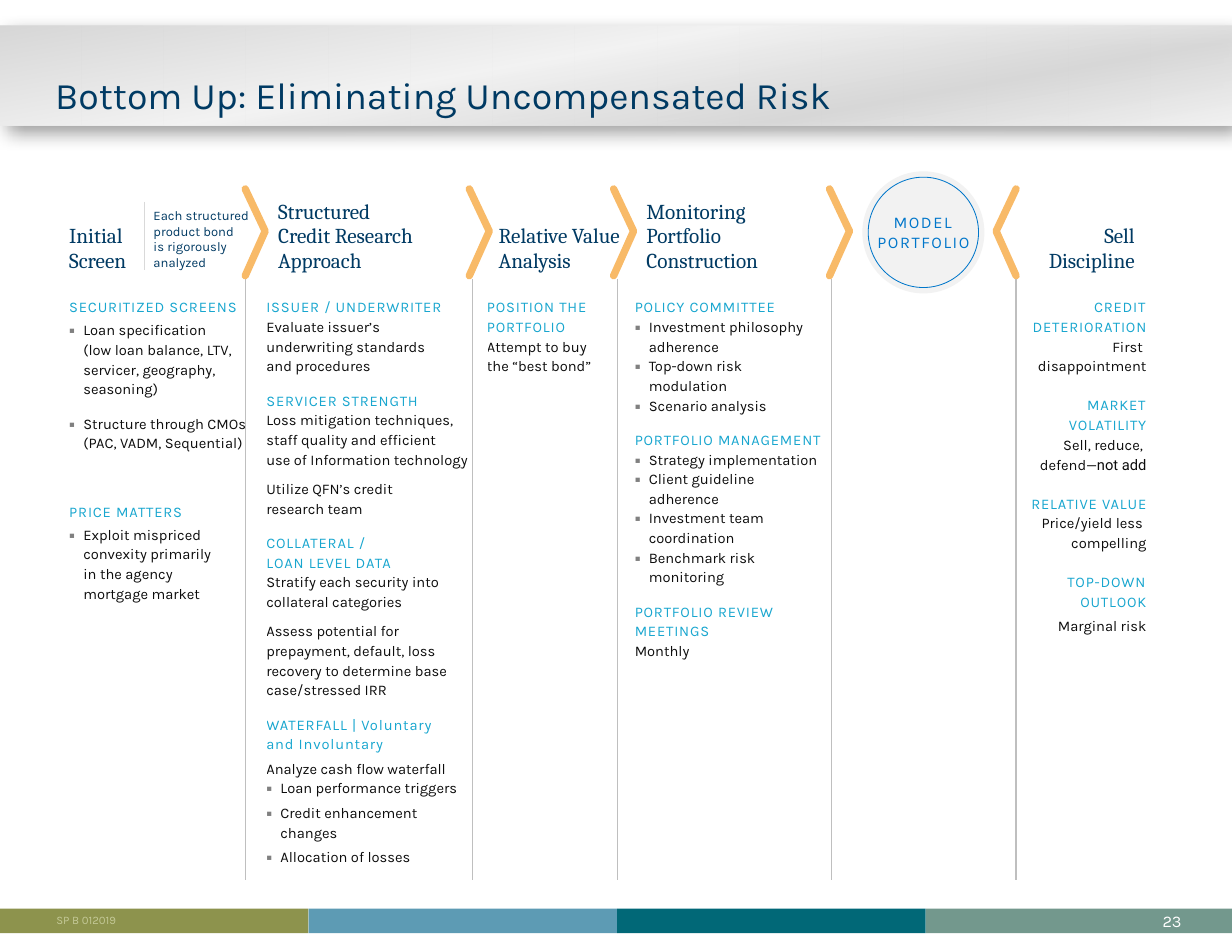
from dataclasses import dataclass

from lxml import etree
from pptx import Presentation
from pptx.dml.color import RGBColor
from pptx.enum.shapes import MSO_CONNECTOR, MSO_SHAPE
from pptx.enum.text import MSO_ANCHOR, PP_ALIGN
from pptx.oxml.ns import qn
from pptx.util import Inches, Pt

LEFT, CENTER, RIGHT = PP_ALIGN.LEFT, PP_ALIGN.CENTER, PP_ALIGN.RIGHT
TOP, MIDDLE, BOTTOM = MSO_ANCHOR.TOP, MSO_ANCHOR.MIDDLE, MSO_ANCHOR.BOTTOM
RECTANGLE, OVAL = MSO_SHAPE.RECTANGLE, MSO_SHAPE.OVAL
STRAIGHT = MSO_CONNECTOR.STRAIGHT


@dataclass(frozen=True)
class Style:
    font: str
    size: float
    color: str
    tracking: float = 0


@dataclass(frozen=True)
class Theme:
    title: Style = Style("Karla", 23, "003A63")
    stage: Style = Style("Cambria", 13, "003A63")
    aside: Style = Style("Karla", 8, "003A63")
    heading: Style = Style("Karla", 9, "18A6CF", 0.5)
    body: Style = Style("Karla", 9, "0D0D0D")
    model: Style = Style("Karla", 10, "0076CA", 1)
    page: Style = Style("Karla", 10, "FFFFFF")
    code: Style = Style("Karla", 7, "C4C997")
    emphasis_font: str = "Roboto"
    bullet: str = "808080"
    chevron: str = "F8BA68"
    divider: str = "BFBFBF"
    aside_rule: str = "D9D9D9"
    disc: str = "F2F2F2"
    ring: str = "0076CA"
    footer: tuple = ("8D934D", "5D9BB4", "016877", "73988D")
    band: tuple = ((0, "D6D6D6", 100), (41, "F2F2F2", 100), (73, "DBDBDB", 93), (100, "F2F2F2", 100))


THEME = Theme()


@dataclass(frozen=True)
class Para:
    text: str
    before: float = 0
    style: Style = THEME.body
    bullet: bool = False
    emphasis: str = ""
    spacing: float = 1.14


@dataclass(frozen=True)
class Stage:
    width: float
    title: str = ""
    details: tuple = ()
    align: PP_ALIGN = LEFT
    title_insets: tuple = (0.1, 0.05, 0.1, 0.05)
    insets: tuple = (0, 0.15, 0.1, 0.05)


def heading(text: str, before: float = 9) -> Para:
    return Para(text, before, THEME.heading)


def bullet(text: str, before: float = 0) -> Para:
    return Para(text, before, bullet=True)


STAGES = (
    Stage(1.78, "Initial\nScreen", (
        heading("SECURITIZED SCREENS", 0),
        bullet("Loan specification \n(low loan balance, LTV, \nservicer, geography, \nseasoning)", 2),
        bullet("Structure through CMOs (PAC, VADM, Sequential)", 9),
        heading("PRICE MATTERS", 30),
        bullet("Exploit mispriced \nconvexity primarily \nin the agency \nmortgage market", 2),
    ), title_insets=(0.1, 0.05, 0.15, 0.05), insets=(0.1, 0.15, 0.15, 0.05)),
    Stage(1.88, "Structured \nCredit Research Approach", (
        heading("ISSUER / UNDERWRITER", 0),
        Para("Evaluate issuer’s \nunderwriting standards \nand procedures"),
        heading("SERVICER STRENGTH"),
        Para("Loss mitigation techniques, \nstaff quality and efficient \nuse of Information technology"),
        Para("Utilize QFN’s credit \nresearch team", 6),
        heading("COLLATERAL / \nLOAN LEVEL DATA"),
        Para("Stratify each security into \ncollateral categories"),
        Para("Assess potential for \nprepayment, default, loss recovery to determine base case/stressed IRR", 6),
        heading("WATERFALL | Voluntary \nand Involuntary"),
        Para("Analyze cash flow waterfall", 3),
        bullet("Loan performance triggers"),
        bullet("Credit enhancement\nchanges", 3),
        bullet("Allocation of losses", 3),
    )),
    Stage(1.26, "Relative Value Analysis", (
        heading("POSITION THE PORTFOLIO", 0),
        Para("Attempt to buy \nthe “best bond”"),
    )),
    Stage(1.7, "Monitoring\nPortfolio\nConstruction", (
        heading("POLICY COMMITTEE", 0),
        bullet("Investment philosophy adherence"),
        bullet("Top-down risk modulation"),
        bullet("Scenario analysis"),
        heading("PORTFOLIO MANAGEMENT"),
        bullet("Strategy implementation"),
        bullet("Client guideline adherence"),
        bullet("Investment team coordination"),
        bullet("Benchmark risk monitoring"),
        heading("PORTFOLIO REVIEW MEETINGS"),
        Para("Monthly"),
    )),
    Stage(1.56),
    Stage(1.1, "Sell\nDiscipline", (
        heading("CREDIT\nDETERIORATION", 0),
        Para("First \ndisappointment"),
        heading("MARKET\nVOLATILITY", 12),
        Para("Sell, reduce, \ndefend—", emphasis="not add"),
        heading("RELATIVE VALUE", 12),
        Para("Price/yield less \ncompelling"),
        heading("TOP-DOWN\nOUTLOOK", 12),
        Para("Marginal risk", 3),
    ), RIGHT, insets=(0, 0.15, 0, 0.05)),
)


def write(frame, paras: tuple, align: PP_ALIGN = LEFT) -> None:
    for index, para in enumerate(paras):
        style = para.style
        line = frame.paragraphs[0] if index == 0 else frame.add_paragraph()
        line.text = para.text
        line.alignment = align
        line.line_spacing = para.spacing
        line.space_before = Pt(para.before)
        props = line._p.get_or_add_pPr()
        if para.bullet:
            props.set("marL", str(Inches(0.12)))
            props.set("indent", str(-Inches(0.12)))
            tint = etree.SubElement(props, qn("a:buClr"))
            etree.SubElement(tint, qn("a:srgbClr"), val=THEME.bullet)
            etree.SubElement(props, qn("a:buFont"), typeface=style.font)
            etree.SubElement(props, qn("a:buChar"), char="▪")
        line.font.name = style.font
        line.font.size = Pt(style.size)
        line.font.color.rgb = RGBColor.from_string(style.color)
        if style.tracking:
            props.find(qn("a:defRPr")).set("spc", str(round(style.tracking * 100)))
        if para.emphasis:
            run = line.add_run()
            run.text = para.emphasis
            run.font.name = THEME.emphasis_font


def set_insets(target, insets: tuple) -> None:
    target.margin_left, target.margin_top, target.margin_right, target.margin_bottom = map(Inches, insets)


def add_label(slide, box: tuple, text: str, style: Style, align: PP_ALIGN = LEFT, anchor: MSO_ANCHOR = TOP,
              insets: tuple = (0, 0, 0, 0), wrap: bool = False, spacing: float = 1.0) -> None:
    frame = slide.shapes.add_textbox(*map(Inches, box)).text_frame
    frame.word_wrap = wrap
    frame.vertical_anchor = anchor
    set_insets(frame, insets)
    write(frame, (Para(text, style=style, spacing=spacing),), align)


def add_plain(slide, kind: MSO_SHAPE, box: tuple, fill: str = "", outline: str = ""):
    shape = slide.shapes.add_shape(kind, *map(Inches, box))
    shape.shadow.inherit = False
    if fill:
        shape.fill.solid()
        shape.fill.fore_color.rgb = RGBColor.from_string(fill)
    else:
        shape.fill.background()
    if outline:
        shape.line.color.rgb = RGBColor.from_string(outline)
        shape.line.width = Pt(0.5)
    else:
        shape.line.fill.background()
    return shape


def add_band(slide) -> None:
    band = add_plain(slide, RECTANGLE, (0, 0.22, 10.5, 0.85))
    band.fill.gradient()
    props = band._element.spPr
    gradient = props.find(qn("a:gradFill"))
    stops = gradient.find(qn("a:gsLst"))
    for stop in list(stops):
        stops.remove(stop)
    for position, color, opacity in THEME.band:
        stop = etree.SubElement(stops, qn("a:gs"), pos=str(position * 1000))
        tint = etree.SubElement(stop, qn("a:srgbClr"), val=color)
        etree.SubElement(tint, qn("a:alpha"), val=str(opacity * 1000))
    gradient.find(qn("a:lin")).set("ang", str(80 * 60000))
    shadow = etree.SubElement(props.find(qn("a:effectLst")), qn("a:outerShdw"), blurRad=str(Pt(12)),
                              dist=str(Pt(6)), dir=str(45 * 60000), algn="tl", rotWithShape="0")
    tint = etree.SubElement(shadow, qn("a:srgbClr"), val="000000")
    etree.SubElement(tint, qn("a:alpha"), val="40000")


def add_rule(slide, x: float, top: float, bottom: float, color: str, width: float) -> None:
    rule = slide.shapes.add_connector(STRAIGHT, Inches(x), Inches(top), Inches(x), Inches(bottom))
    rule.line.color.rgb = RGBColor.from_string(color)
    rule.line.width = Pt(width)
    etree.SubElement(rule._element.spPr, qn("a:effectLst"))


def add_chevron(slide, x: float, depth: float) -> None:
    builder = slide.shapes.build_freeform(Inches(x), Inches(1.61))
    builder.add_line_segments(((Inches(x + depth), Inches(1.97)), (Inches(x), Inches(2.35))), close=False)
    chevron = builder.convert_to_shape()
    chevron.shadow.inherit = False
    chevron.fill.background()
    chevron.line.color.rgb = RGBColor.from_string(THEME.chevron)
    chevron.line.width = Pt(4.5)
    outline = chevron._element.spPr.find(qn("a:ln"))
    outline.set("cap", "rnd")
    etree.SubElement(outline, qn("a:round"))


def add_stages(slide) -> None:
    table = slide.shapes.add_table(2, len(STAGES), Inches(0.49), Inches(1.58), Inches(9.28), Inches(5.73)).table
    table.first_row = table.horz_banding = False
    table.rows[0].height, table.rows[1].height = Inches(0.8), Inches(4.93)
    for column, stage in enumerate(STAGES):
        table.columns[column].width = Inches(stage.width)
        title, details = table.cell(0, column), table.cell(1, column)
        title.vertical_anchor = BOTTOM
        for cell, insets in ((title, stage.title_insets), (details, stage.insets)):
            cell.fill.background()
            set_insets(cell, insets)
        if stage.title:
            write(title.text_frame, (Para(stage.title, style=THEME.stage, spacing=1.0),), stage.align)
            write(details.text_frame, stage.details, stage.align)


def main() -> None:
    deck = Presentation()
    deck.slide_width, deck.slide_height = Inches(10.5), Inches(8)
    slide = deck.slides.add_slide(deck.slide_layouts[6])
    add_band(slide)
    for index, color in enumerate(THEME.footer):
        left = index * 2.63
        add_plain(slide, RECTANGLE, (left, 7.74, min(2.63, 10.5 - left), 0.21), color)
    add_stages(slide)
    add_label(slide, (0.47, 0.67, 7.4, 0.33), "Bottom Up: Eliminating Uncompensated Risk", THEME.title,
              anchor=BOTTOM, wrap=True, spacing=0.85)
    add_rule(slide, 1.23, 1.72, 2.3, THEME.aside_rule, 0.5)
    add_label(slide, (1.21, 1.72, 1.07, 0.64), "Each structured \nproduct bond \nis rigorously\nanalyzed",
              THEME.aside, insets=(0.1, 0.05, 0.1, 0.05), wrap=True)
    for x in (2.09, 4.03, 5.26, 7.09, 8.66):
        add_rule(slide, x, 2.38, 7.5, THEME.divider, 0.75)
    for x, depth in ((2.09, 0.17), (4, 0.17), (5.23, 0.17), (7.07, 0.17), (8.66, -0.17)):
        add_chevron(slide, x, depth)
    add_plain(slide, OVAL, (7.35, 1.46, 1.04, 1.04), THEME.disc)
    add_plain(slide, OVAL, (7.4, 1.51, 0.94, 0.94), outline=THEME.ring)
    add_label(slide, (7.36, 1.76, 1.02, 0.44), "MODEL\nPORTFOLIO", THEME.model, CENTER,
              insets=(0.1, 0.05, 0.1, 0.05))
    add_label(slide, (9.67, 7.76, 0.4, 0.17), "23", THEME.page, RIGHT, BOTTOM, wrap=True)
    add_label(slide, (0.48, 7.78, 0.52, 0.12), "SP B 012019", THEME.code, anchor=MIDDLE)
    deck.save("out.pptx")


if __name__ == "__main__":
    main()
